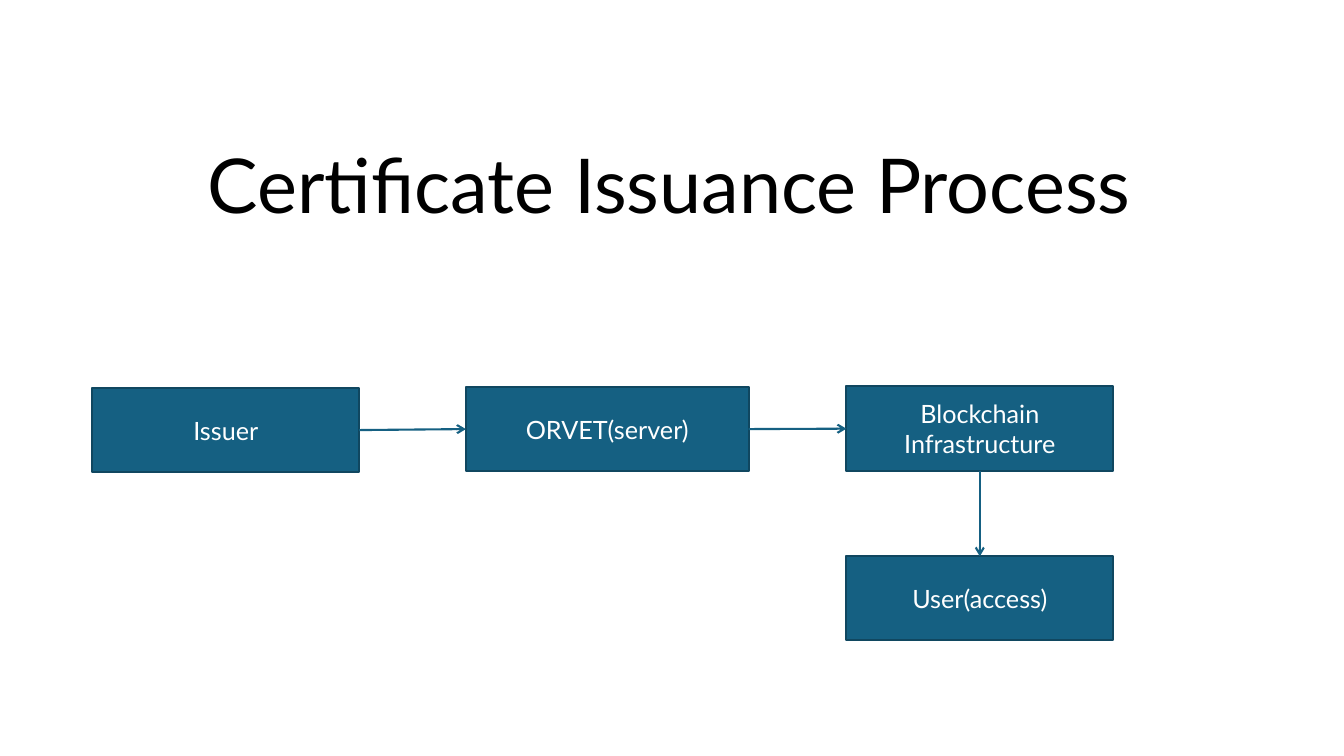
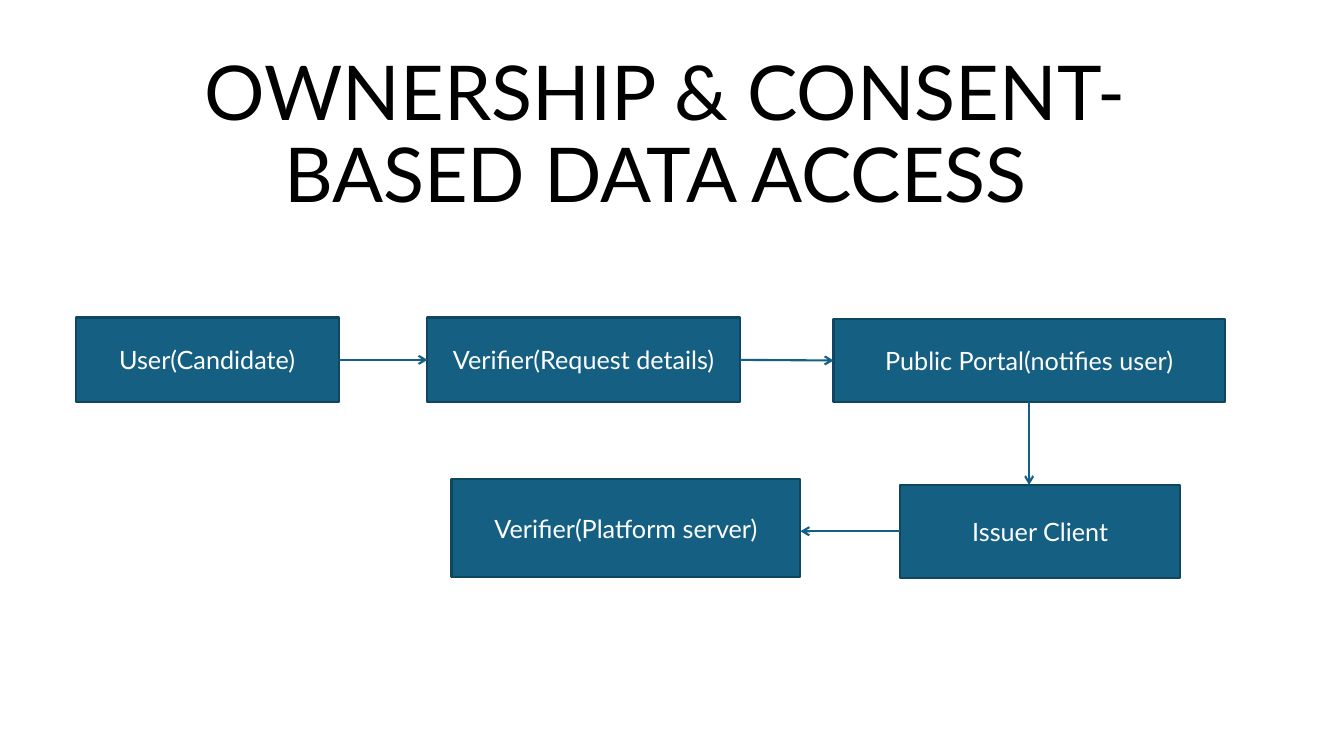
from lxml import etree
from pptx import Presentation
from pptx.dml.color import RGBColor
from pptx.enum.shapes import MSO_CONNECTOR, MSO_SHAPE
from pptx.enum.text import MSO_ANCHOR, MSO_AUTO_SIZE, PP_ALIGN
from pptx.oxml.ns import qn
from pptx.util import Pt

COLORS = {"box": "156082", "border": "104760", "label": "FFFFFF", "title": "000000"}
FONT = "Lato"
TOP, LEFT, BOTTOM, RIGHT = range(4)

SLIDES = [
    {
        "title": ("Certificate Issuance Process", (118, 63.4, 720, 104.4)),
        "boxes": {
            "issuer": ("Issuer", (66, 277.2, 190.6, 60)),
            "server": ("ORVET(server)", (332.8, 276.5, 202, 60)),
            "blockchain": ("Blockchain Infrastructure", (604.6, 276, 190.6, 60.4)),
            "user": ("User(access)", (604.6, 397.4, 190.6, 60)),
        },
        "arrows": [
            ("issuer", RIGHT, "server", LEFT, True),
            ("server", RIGHT, "blockchain", LEFT, True),
            ("blockchain", BOTTOM, "user", TOP, True),
        ],
    },
    {
        "title": ("OWNERSHIP & CONSENT-BASED DATA ACCESS ", (115.2, 75.6, 720, 84.2)),
        "boxes": {
            "candidate": ("User(Candidate)", (54, 226.8, 188, 60.5)),
            "request": ("Verifier(Request details)", (305.3, 226.8, 223.2, 60.5)),
            "portal": ("Public Portal(notifies user)", (595.4, 228, 279.4, 59)),
            "client": ("Issuer Client", (643, 346.4, 200, 66.2)),
            "platform": ("Verifier(Platform server)", (322.5, 342, 249.2, 70.4)),
        },
        "arrows": [
            ("candidate", RIGHT, "request", LEFT, True),
            ("request", RIGHT, "portal", LEFT, True),
            ("portal", BOTTOM, "client", TOP, False),
            ("client", LEFT, "platform", RIGHT, False),
        ],
    },
]


def color(name):
    return RGBColor.from_string(COLORS[name])


def format_text(shape, text, size, color_name, anchor):
    frame = shape.text_frame
    frame.text = text
    frame.word_wrap = True
    frame.auto_size = MSO_AUTO_SIZE.NONE
    frame.vertical_anchor = anchor
    paragraph = frame.paragraphs[0]
    paragraph.alignment = PP_ALIGN.CENTER
    font = paragraph.runs[0].font
    font.name, font.size = FONT, Pt(size)
    font.color.rgb = color(color_name)
    return paragraph


def set_title(slide, text, bounds):
    title = slide.shapes.title
    title.left, title.top, title.width, title.height = map(Pt, bounds)
    paragraph = format_text(title, text, 54, "title", MSO_ANCHOR.BOTTOM)
    paragraph.line_spacing = 0.9


def add_box(slide, text, bounds):
    box = slide.shapes.add_shape(MSO_SHAPE.RECTANGLE, *map(Pt, bounds))
    box.shadow.inherit = False
    box.fill.solid()
    box.fill.fore_color.rgb = color("box")
    box.line.color.rgb = color("border")
    box.line.width = Pt(1.5)
    format_text(box, text, 18, "label", MSO_ANCHOR.MIDDLE)
    return box


def side_middle(box, side):
    x, y = box.left + box.width // 2, box.top + box.height // 2
    return {
        TOP: (x, box.top),
        LEFT: (box.left, y),
        BOTTOM: (x, box.top + box.height),
        RIGHT: (box.left + box.width, y),
    }[side]


def add_arrow(slide, source, source_side, target, target_side, joined):
    start_x, start_y = side_middle(source, source_side)
    end_x, end_y = side_middle(target, target_side)
    if not joined:
        if target_side in (TOP, BOTTOM):
            end_x = start_x
        else:
            end_y = start_y
    arrow = slide.shapes.add_connector(
        MSO_CONNECTOR.STRAIGHT, start_x, start_y, end_x, end_y
    )
    arrow.begin_connect(source, source_side)
    if joined:
        arrow.end_connect(target, target_side)
    arrow.line.color.rgb = color("box")
    arrow.line.width = Pt(1.5)
    properties = arrow.element.spPr
    etree.SubElement(properties.find(qn("a:ln")), qn("a:tailEnd"), type="arrow")
    etree.SubElement(properties, qn("a:effectLst"))


def main():
    presentation = Presentation()
    presentation.slide_width, presentation.slide_height = Pt(960), Pt(540)
    for content in SLIDES:
        slide = presentation.slides.add_slide(presentation.slide_layouts[5])
        set_title(slide, *content["title"])
        boxes = {
            name: add_box(slide, text, bounds)
            for name, (text, bounds) in content["boxes"].items()
        }
        for source, source_side, target, target_side, joined in content["arrows"]:
            add_arrow(
                slide, boxes[source], source_side, boxes[target], target_side, joined
            )
    presentation.save("out.pptx")


if __name__ == "__main__":
    main()
